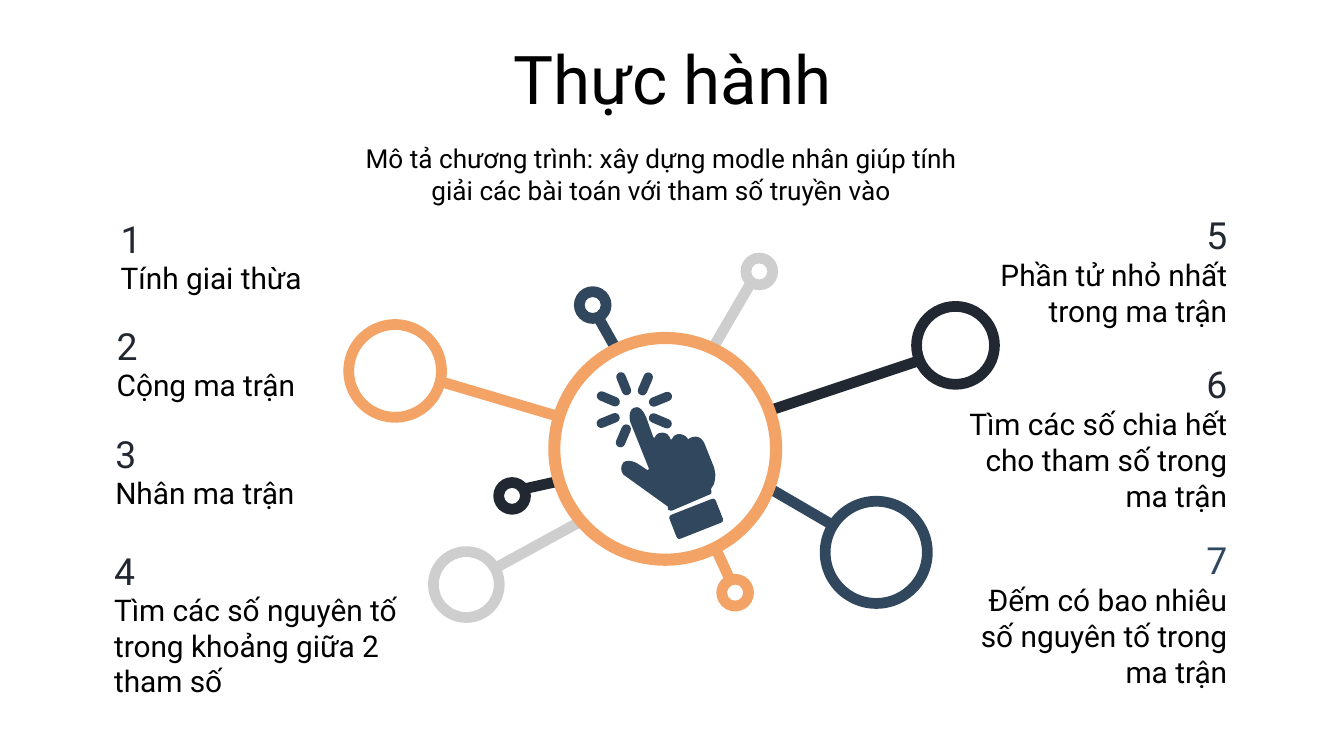
from math import cos, radians, sin

from lxml.etree import SubElement
from pptx import Presentation
from pptx.dml.color import RGBColor
from pptx.enum.shapes import MSO_CONNECTOR, MSO_SHAPE
from pptx.enum.text import MSO_ANCHOR, MSO_AUTO_SIZE, PP_ALIGN
from pptx.oxml.ns import qn
from pptx.util import Inches, Pt

BLACK, DARK, NAVY, ORANGE, GRAY = "000000", "222831", "30475E", "F2A365", "CECECE"
FONT = "Roboto"
INSET = 0.1

TITLE = "Thực hành"
SUBTITLE = ("Mô tả chương trình: xây dựng modle nhân giúp tính "
            "giải các bài toán với tham số truyền vào")

# number, text, top, edge, number width, text width, text height, number colour
LEFT_ITEMS = [
    ("1", "Tính giai thừa", 1.61, 0.8, 1.46, 1.61, 0.32, DARK),
    ("2", "Cộng ma trận", 2.41, 0.77, 1.06, 1.61, 0.38, DARK),
    ("3", "Nhân ma trận", 3.21, 0.76, 1.26, 1.7, 0.38, DARK),
    ("4", "Tìm các số nguyên tố trong khoảng giữa 2 tham số",
     4.08, 0.75, 1.99, 2.39, 0.72, DARK),
]
RIGHT_ITEMS = [
    ("5", "Phần tử nhỏ nhất trong ma trận", 1.58, 9.23, 1.99, 1.99, 0.58, DARK),
    ("6", "Tìm các số chia hết cho tham số trong ma trận",
     2.69, 9.23, 1.99, 2.35, 0.58, DARK),
    ("7", "Đếm có bao nhiêu số nguyên tố trong ma trận",
     4.0, 9.23, 1.99, 2.19, 0.72, NAVY),
]

# ring centre, ring diameter, spoke start, spoke end, colour
BRANCHES = [
    ((6.52, 4.11), 0.84, (5.72, 3.63), (6.2, 3.91), NAVY),
    ((7.11, 2.57), 0.66, (5.71, 3.06), (6.82, 2.69), DARK),
    ((2.94, 2.76), 0.77, (4.16, 3.1), (3.28, 2.84), ORANGE),
    ((3.47, 4.35), 0.57, (4.32, 3.88), (3.68, 4.23), GRAY),
    ((3.81, 3.69), 0.28, (4.16, 3.58), (3.89, 3.64), DARK),
    ((5.47, 4.41), 0.28, (5.32, 4.07), (5.43, 4.31), ORANGE),
    ((4.41, 2.27), 0.28, (4.58, 2.59), (4.45, 2.36), NAVY),
    ((5.65, 2.02), 0.28, (5.31, 2.58), (5.59, 2.1), GRAY),
]
HUB = ((4.95, 3.34), 1.74)
STROKE = 0.08

RAY_CENTER, RAY_RADIUS, RAY_ANGLES = (4.72, 3.05), 0.21, range(113, 428, 45)

HAND_START = (4.74, 3.03)
HAND = [
    (4.68, 3.03, 4.68, 3.1, 4.69, 3.14), (4.83, 3.49), (4.82, 3.5), (4.76, 3.46),
    (4.72, 3.43, 4.67, 3.42, 4.64, 3.44), (4.6, 3.49, 4.64, 3.54, 4.65, 3.54),
    (4.97, 3.77), (4.97, 3.79), (4.98, 3.8, 4.99, 3.8, 5, 3.8), (5.28, 3.68),
    (5.29, 3.68, 5.3, 3.67, 5.29, 3.64), (5.35, 3.57, 5.31, 3.47, 5.31, 3.47),
    (5.25, 3.32), (5.25, 3.32, 5.23, 3.25, 5.18, 3.25),
    (5.15, 3.25, 5.13, 3.26, 5.12, 3.27), (5.11, 3.25, 5.1, 3.24, 5.06, 3.23),
    (5.02, 3.23, 5.01, 3.25, 5, 3.27), (4.99, 3.27),
    (4.98, 3.24, 4.96, 3.22, 4.93, 3.22), (4.89, 3.22, 4.88, 3.24, 4.87, 3.26),
    (4.86, 3.25), (4.81, 3.11), (4.81, 3.11, 4.78, 3.03, 4.74, 3.03),
]


def color(value):
    return RGBColor.from_string(value)


def paint(sp, fill):
    sp.shadow.inherit = False
    sp.fill.solid()
    sp.fill.fore_color.rgb = color(fill)
    sp.line.fill.background()


def centered(s, kind, center, width, height, fill, adjust, angle=0):
    left, top = center[0] - width / 2, center[1] - height / 2
    sp = s.shapes.add_shape(kind, Inches(left), Inches(top), Inches(width), Inches(height))
    sp.adjustments[0] = adjust
    sp.rotation = angle
    paint(sp, fill)


def ring(s, center, size, fill, stroke=STROKE):
    centered(s, MSO_SHAPE.DONUT, center, size, size, fill, stroke / size)


def spoke(s, start, end, fill):
    line = s.shapes.add_connector(MSO_CONNECTOR.STRAIGHT, *map(Inches, start + end))
    line.line.color.rgb = color(fill)
    line.line.width = Inches(STROKE)
    SubElement(line._element.spPr, qn("a:effectLst"))


def outline(start, segments, steps=6):
    points = [start]
    for seg in segments:
        if len(seg) == 2:
            points.append(seg)
            continue
        nodes = [points[-1], seg[:2], seg[2:4], seg[4:]]
        for t in (i / steps for i in range(1, steps + 1)):
            weights = ((1 - t) ** 3, 3 * t * (1 - t) ** 2, 3 * t * t * (1 - t), t ** 3)
            points.append(tuple(sum(w * n[axis] for w, n in zip(weights, nodes))
                                for axis in (0, 1)))
    return [(Inches(x), Inches(y)) for x, y in points]


def write(sp, text, box, size, fill=BLACK, align=PP_ALIGN.LEFT, anchor=MSO_ANCHOR.MIDDLE):
    for name, value in zip(("left", "top", "width", "height"), box):
        setattr(sp, name, Inches(value))
    tf = sp.text_frame
    frame = {"word_wrap": True, "auto_size": MSO_AUTO_SIZE.NONE, "vertical_anchor": anchor}
    frame.update({f"margin_{side}": Inches(INSET) for side in ("left", "top", "right", "bottom")})
    for name, value in frame.items():
        setattr(tf, name, value)
    p = tf.paragraphs[0]
    p.alignment = align
    r = p.add_run()
    r.text = text
    for name, value in {"name": FONT, "size": Pt(size), "bold": False}.items():
        setattr(r.font, name, value)
    r.font.color.rgb = color(fill)


def textbox(s, *args, **kwargs):
    write(s.shapes.add_textbox(0, 0, 0, 0), *args, **kwargs)


def items(s, rows, align, gap):
    share = 1 if align == PP_ALIGN.RIGHT else 0
    for number, text, top, edge, number_w, text_w, text_h, fill in rows:
        textbox(s, number, (edge - share * number_w, top, number_w, 0.33), 20, fill, align)
        textbox(s, text, (edge - share * text_w, top + gap, text_w, text_h), 16,
                align=align, anchor=MSO_ANCHOR.TOP)


def main():
    prs = Presentation()
    prs.slide_width = Inches(10)
    prs.slide_height = prs.slide_width * 9 // 16
    s = prs.slides.add_slide(prs.slide_layouts[5])

    for center, size, start, end, fill in BRANCHES:
        ring(s, center, size, fill)
        spoke(s, start, end, fill)
    ring(s, *HUB, ORANGE, 0.09)

    first, *rest = outline(HAND_START, HAND)
    builder = s.shapes.build_freeform(*first)
    builder.add_line_segments(rest, close=True)
    paint(builder.convert_to_shape(), NAVY)
    centered(s, MSO_SHAPE.ROUNDED_RECTANGLE, (5.18, 3.86), 0.37, 0.19, NAVY, 0.12, -21.5)
    for angle in RAY_ANGLES:
        a = radians(angle)
        center = (RAY_CENTER[0] + RAY_RADIUS * cos(a), RAY_CENTER[1] + RAY_RADIUS * sin(a))
        centered(s, MSO_SHAPE.ROUNDED_RECTANGLE, center, 0.18, 0.07, NAVY, 0.5, angle)

    write(s.shapes.title, TITLE, (3.62, 0.31, 2.77, 0.53), 36, align=PP_ALIGN.CENTER)
    textbox(s, SUBTITLE, (2.51, 1.03, 4.82, 0.53), 14, align=PP_ALIGN.CENTER)
    items(s, LEFT_ITEMS, PP_ALIGN.LEFT, 0.22)
    items(s, RIGHT_ITEMS, PP_ALIGN.RIGHT, 0.23)
    prs.save("out.pptx")


if __name__ == "__main__":
    main()
